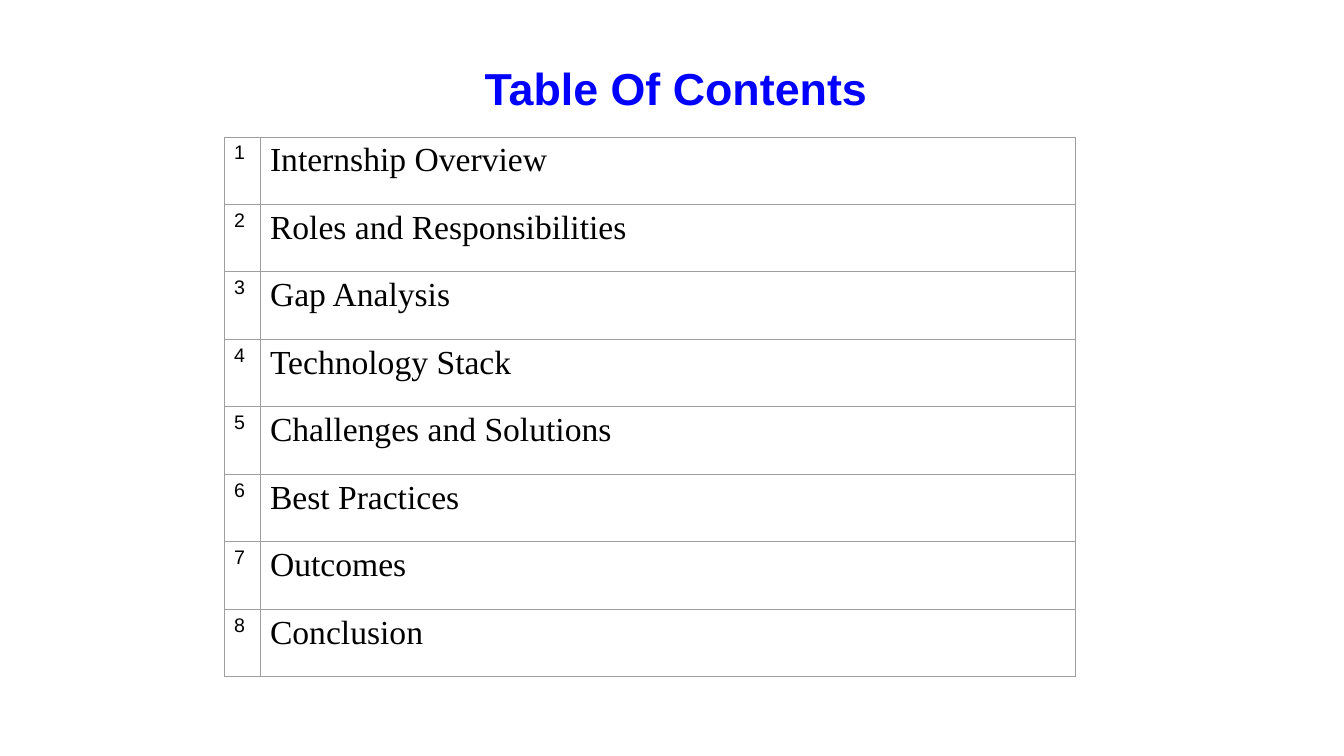
import pptx
import pptx.util
import pptx.dml.color
import pptx.enum.text
import pptx.oxml
import pptx.oxml.ns

RGBColor = pptx.dml.color.RGBColor
BLUE = RGBColor(0x00, 0x00, 0xFF)
BLACK = RGBColor(0x00, 0x00, 0x00)
GREY = RGBColor(0x9E, 0x9E, 0x9E)

PX_PER_INCH = 100.8
TOPICS = [
    "Internship Overview",
    "Roles and Responsibilities",
    "Gap Analysis",
    "Technology Stack",
    "Challenges and Solutions",
    "Best Practices",
    "Outcomes",
    "Conclusion",
]


def px(n):
    return pptx.util.Inches(n / PX_PER_INCH)


def format_text(tf, font, size, color, bold=False):
    for p in tf.paragraphs:
        for r in p.runs:
            r.font.name = font
            r.font.size = pptx.util.Pt(size)
            r.font.bold = bold
            r.font.color.rgb = color


def add_title(s, text, left, top, width, height):
    sp = s.shapes.title
    sp.left, sp.top, sp.width, sp.height = map(px, (left, top, width, height))
    tf = sp.text_frame
    tf.text = text
    tf.vertical_anchor = pptx.enum.text.MSO_ANCHOR.MIDDLE
    tf.paragraphs[0].alignment = pptx.enum.text.PP_ALIGN.CENTER
    format_text(tf, "Arial", 32, BLUE, bold=True)


def set_borders(cell, color, points):
    tc_pr = cell._tc.get_or_add_tcPr()
    ns = pptx.oxml.ns.nsdecls("a")
    width = pptx.util.Pt(points)
    for i, side in enumerate(("lnL", "lnR", "lnT", "lnB")):
        line = pptx.oxml.parse_xml(
            f'<a:{side} {ns} w="{width}"><a:solidFill>'
            f'<a:srgbClr val="{color}"/></a:solidFill></a:{side}>'
        )
        tc_pr.insert(i, line)


def fill_cell(cell, text, font, size):
    cell.text_frame.text = text
    format_text(cell.text_frame, font, size, BLACK)
    cell.fill.background()
    set_borders(cell, GREY, 0.75)


def add_contents(s, topics, left, top, col_widths, height):
    frame = s.shapes.add_table(
        len(topics), len(col_widths),
        px(left), px(top), px(sum(col_widths)), px(height),
    )
    table = frame.table
    table.first_row = False
    table.horz_banding = False
    for column, width in zip(table.columns, col_widths):
        column.width = px(width)
    for i, topic in enumerate(topics):
        fill_cell(table.cell(i, 0), str(i + 1), "Arial", 14)
        fill_cell(table.cell(i, 1), topic, "Times New Roman", 24)


def main():
    prs = pptx.Presentation()
    prs.slide_width, prs.slide_height = px(1344), px(756)
    s = prs.slides.add_slide(prs.slide_layouts[5])
    add_title(s, "Table Of Contents", 74, 25, 1204, 126)
    add_contents(s, TOPICS, 224, 137, (36, 816), 540)
    prs.save("out.pptx")


if __name__ == "__main__":
    main()
